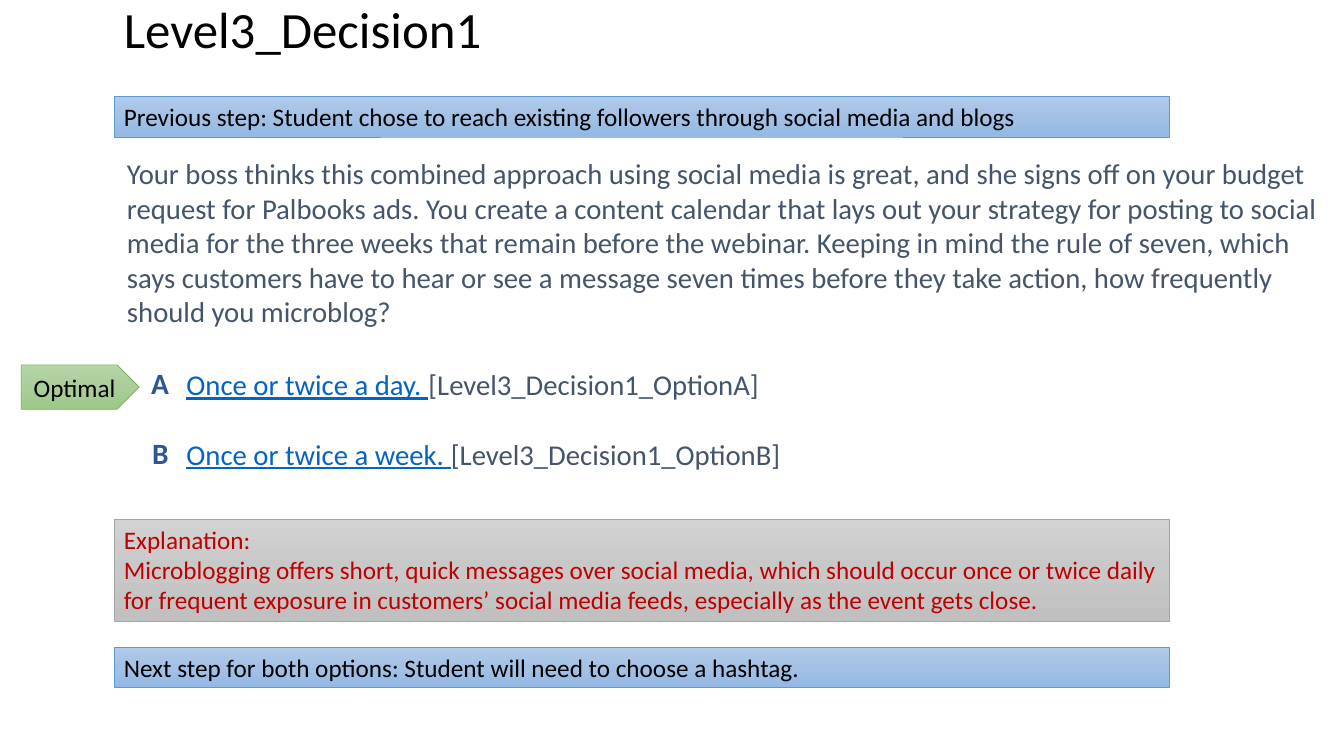
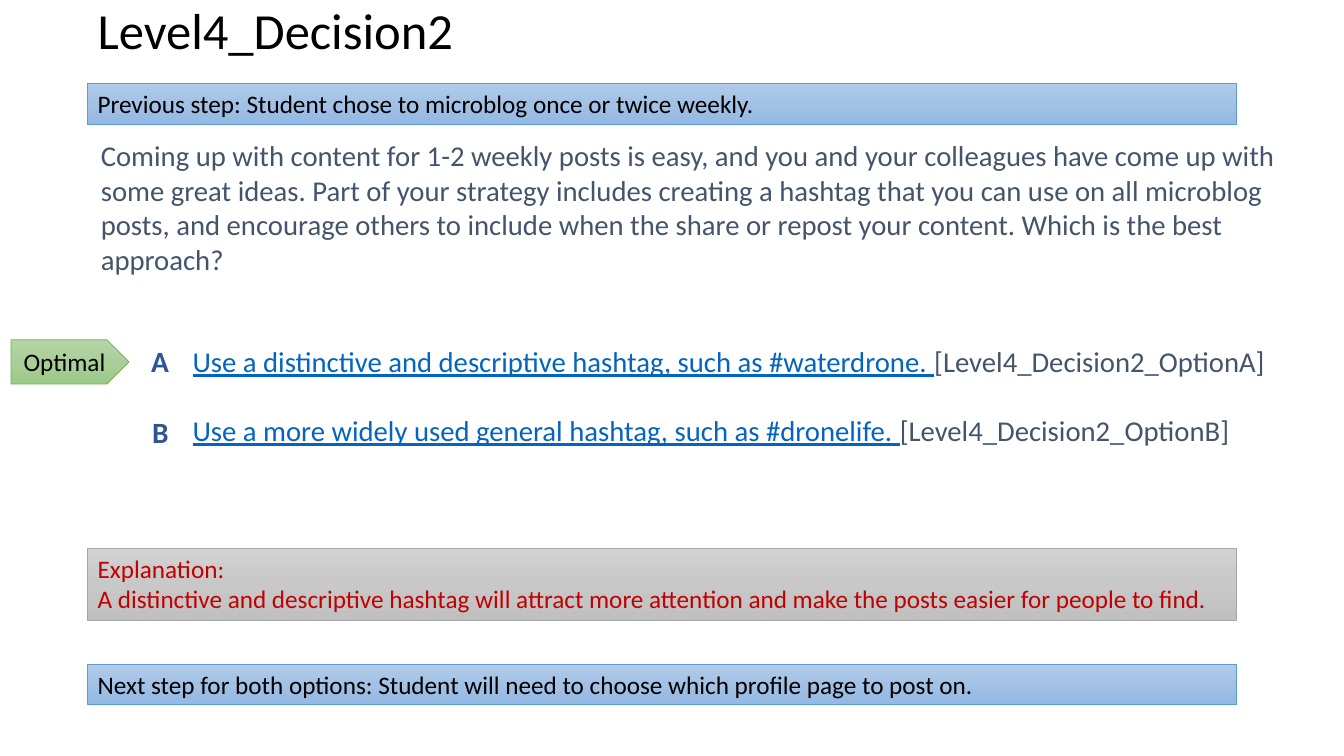
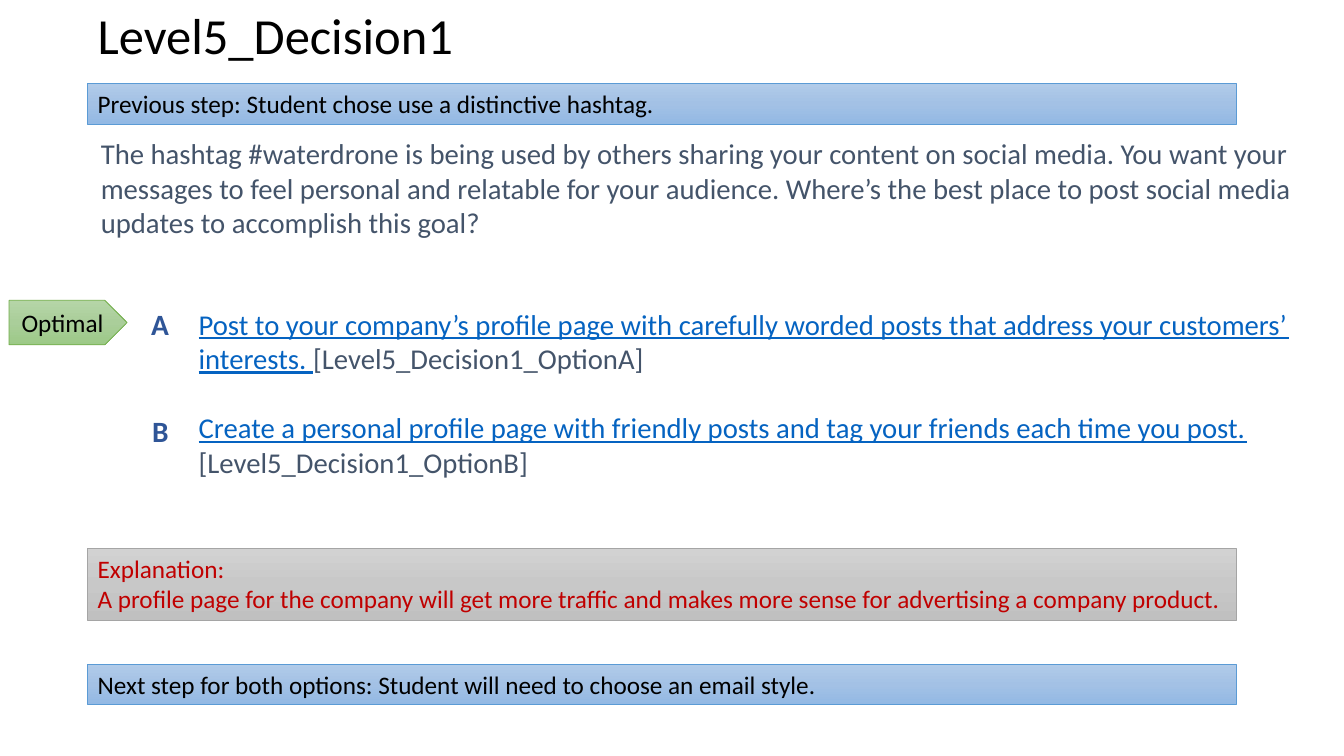
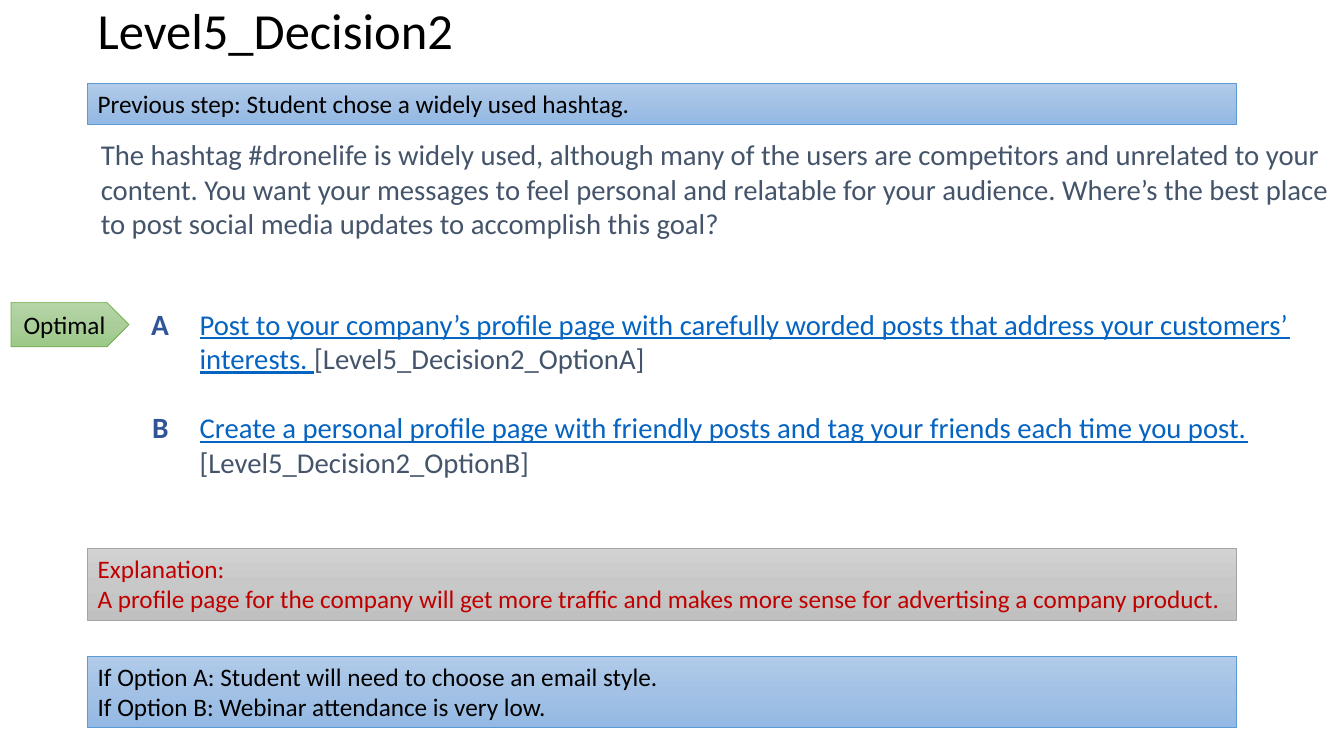
"""Build four decision slides of a branching marketing scenario."""
from copy import deepcopy
from dataclasses import dataclass

from pptx import Presentation
from pptx.dml.color import RGBColor
from pptx.enum.shapes import MSO_SHAPE as Preset
from pptx.enum.text import MSO_ANCHOR as Anchor, MSO_AUTO_SIZE as AutoSize, PP_ALIGN as Align
from pptx.util import Pt

PX = 9144
SLIDE_W, SLIDE_H = 1333, 750
FONT = "Calibri"
COLORS = {
    "black": "000000",
    "body": "44546A",
    "link": "0563C1",
    "letter": "2F5597",
    "alert": "C00000",
    "blue_line": "5B9BD5",
    "gray_line": "A5A5A5",
    "green_line": "70AD47",
}
GRADIENTS = {
    "blue": ("B1CBE9", "A3C1E5", "93B9E4"),
    "gray": ("D2D2D2", "C8C8C8", "C0C0C0"),
    "green": ("B5D5A7", "AACE9A", "9CC987"),
}
WIDE_INSETS = (13, 7)
BAND_INSETS = (10, 5)
BODY_SIZE, LETTER_SIZE, BAND_SIZE = 20.5, 21, 18
OPTION_GAP = 25


@dataclass
class Decision:
    title: str
    previous: str
    scenario: str
    options: tuple
    explanation: str
    following: tuple
    scenario_span: tuple
    options_box: tuple
    letter_tops: tuple
    optimal_at: tuple
    following_top: int = 659
    title_span: tuple = (0, 66)
    title_size: float = 36.1
    title_spacing: float = 0.9
    left: int = 87
    width: int = 1139
    previous_top: int = 83
    explanation_top: int = 544
    explanation_lines: int = 2


DECISIONS = (
    Decision(
        title="Level3_Decision1",
        previous="Previous step: Student chose to reach existing followers through social media and blogs",
        scenario="Your boss thinks this combined approach using social media is great, and she signs off "
                 "on your budget request for Palbooks ads. You create a content calendar that lays out "
                 "your strategy for posting to social media for the three weeks that remain before the "
                 "webinar. Keeping in mind the rule of seven, which says customers have to hear or see a "
                 "message seven times before they take action, how frequently should you microblog?",
        options=("Once or twice a day. ", "Once or twice a week. "),
        explanation="Microblogging offers short, quick messages over social media, which should occur "
                    "once or twice daily for frequent exposure in customers’ social media feeds, "
                    "especially as the event gets close.",
        following=("Next step for both options: Student will need to choose a hashtag.",),
        scenario_span=(148, 265), options_box=(172, 357, 950, 153),
        letter_tops=(355, 425), optimal_at=(21, 362), following_top=642,
        title_span=(8, 55), title_size=36.3, title_spacing=0.7,
        left=113, width=1047, previous_top=96,
        explanation_top=515, explanation_lines=3,
    ),
    Decision(
        title="Level4_Decision2",
        previous="Previous step: Student chose to microblog once or twice weekly.",
        scenario="Coming up with content for 1-2 weekly posts is easy, and you and your colleagues have "
                 "come up with some great ideas. Part of your strategy includes creating a hashtag that "
                 "you can use on all microblog posts, and encourage others to include when the share or "
                 "repost your content. Which is the best approach?",
        options=("Use a distinctive and descriptive hashtag, such as #waterdrone. ",
                 "Use a more widely used general hashtag, such as #dronelife. "),
        explanation="A distinctive and descriptive hashtag will attract more attention and make the "
                    "posts easier for people to find.",
        following=("Next step for both options: Student will need to choose which profile page to post on.",),
        scenario_span=(130, 183), options_box=(178, 334, 1156, 148),
        letter_tops=(333, 404), optimal_at=(11, 337),
    ),
)

PROFILE_OPTIONS = (
    "Post to your company’s profile page with carefully worded posts that address your customers’ interests. ",
    "Create a personal profile page with friendly posts and tag your friends each time you post. ",
)
PROFILE_EXPLANATION = ("A profile page for the company will get more traffic and makes more sense "
                       "for advertising a company product.")

DECISIONS += (
    Decision(
        title="Level5_Decision1",
        previous="Previous step: Student chose use a distinctive hashtag.",
        scenario="The hashtag #waterdrone is being used by others sharing your content on social media. "
                 "You want your messages to feel personal and relatable for your audience. Where’s the "
                 "best place to post social media updates to accomplish this goal?",
        options=PROFILE_OPTIONS, explanation=PROFILE_EXPLANATION,
        following=("Next step for both options: Student will need to choose an email style.",),
        scenario_span=(128, 114), options_box=(184, 297, 1150, 217),
        letter_tops=(297, 403), optimal_at=(9, 298), title_span=(5, 66),
    ),
    Decision(
        title="Level5_Decision2",
        previous="Previous step: Student chose a widely used hashtag.",
        scenario="The hashtag #dronelife is widely used, although many of the users are competitors and "
                 "unrelated to your content. You want your messages to feel personal and relatable for "
                 "your audience. Where’s the best place to post social media updates to accomplish this goal?",
        options=PROFILE_OPTIONS, explanation=PROFILE_EXPLANATION,
        following=("If Option A: Student will need to choose an email style.",
                   "If Option B: Webinar attendance is very low."),
        scenario_span=(129, 114), options_box=(185, 297, 1149, 217),
        letter_tops=(297, 399), optimal_at=(11, 300), following_top=651,
    ),
)


def emu(*lengths):
    return [length * PX for length in lengths]


def add_run(paragraph, text, size, color, bold=False, underline=False):
    run = paragraph.add_run()
    run.text = text
    font = run.font
    font.name, font.size = FONT, Pt(size)
    font.bold, font.underline = bold, underline
    font.color.rgb = RGBColor.from_string(COLORS[color])


def set_frame(frame, insets, anchor=Anchor.TOP):
    frame.word_wrap = True
    frame.vertical_anchor = anchor
    side, end = emu(*insets)
    frame.margin_left = frame.margin_right = side
    frame.margin_top = frame.margin_bottom = end


def add_paragraphs(frame, count, align=Align.LEFT):
    for _ in range(count - 1):
        frame.add_paragraph()
    for paragraph in frame.paragraphs:
        paragraph.alignment = align
    return frame.paragraphs


def add_text(slide, box, text, size, color, bold=False, insets=WIDE_INSETS, anchor=Anchor.TOP):
    frame = slide.shapes.add_textbox(*emu(*box)).text_frame
    set_frame(frame, insets, anchor)
    paragraph = frame.paragraphs[0]
    add_run(paragraph, text, size, color, bold)
    return paragraph


def add_panel(slide, preset, box, hue, lines, color="black", align=Align.LEFT, anchor=Anchor.TOP):
    panel = slide.shapes.add_shape(preset, *emu(*box))
    panel.shadow.inherit = False
    panel.fill.gradient()
    panel.fill.gradient_angle = 270
    stop_list = panel._element.spPr.xpath("./a:gradFill/a:gsLst")[0]
    stop_list.insert(1, deepcopy(stop_list[0]))
    for index, (stop, shade) in enumerate(zip(panel.fill.gradient_stops, GRADIENTS[hue])):
        stop.position = index / 2
        stop.color.rgb = RGBColor.from_string(shade)
    panel.line.color.rgb = RGBColor.from_string(COLORS[f"{hue}_line"])
    panel.line.width = Pt(0.5)
    frame = panel.text_frame
    set_frame(frame, BAND_INSETS, anchor)
    for paragraph, line in zip(add_paragraphs(frame, len(lines), align), lines):
        add_run(paragraph, line, BAND_SIZE, color)
    return panel


def add_band(slide, decision, top, hue, lines, color="black", line_count=None):
    height = 10 + 61 * (line_count or len(lines)) // 2
    box = (decision.left, top, decision.width, height)
    band = add_panel(slide, Preset.RECTANGLE, box, hue, lines, color)
    band.text_frame.auto_size = AutoSize.SHAPE_TO_FIT_TEXT


def add_options(slide, decision):
    frame = slide.shapes.add_textbox(*emu(*decision.options_box)).text_frame
    set_frame(frame, WIDE_INSETS)
    paragraphs = add_paragraphs(frame, len(decision.options))
    for letter, paragraph, answer in zip("AB", paragraphs, decision.options):
        add_run(paragraph, answer, BODY_SIZE, "link", underline=True)
        add_run(paragraph, f"[{decision.title}_Option{letter}]", BODY_SIZE, "body")
    for paragraph in paragraphs[1:]:
        paragraph.space_before = Pt(OPTION_GAP)
    letter_boxes = ((137, 68, 58), (138, 70, 44))
    for letter, top, (left, width, height) in zip("AB", decision.letter_tops, letter_boxes):
        add_text(slide, (left, top, width, height), letter, LETTER_SIZE, "letter", bold=True)


def add_decision(slide, decision):
    top, height = decision.scenario_span
    add_text(slide, (decision.left, top, SLIDE_W - decision.left, height),
             decision.scenario, BODY_SIZE, "body")
    top, height = decision.title_span
    title = add_text(slide, (decision.left, top, decision.width, height), decision.title,
                     decision.title_size, "black", insets=BAND_INSETS, anchor=Anchor.MIDDLE)
    title.line_spacing = decision.title_spacing
    add_band(slide, decision, decision.previous_top, "blue", (decision.previous,))
    add_options(slide, decision)
    add_panel(slide, Preset.PENTAGON, (*decision.optimal_at, 117, 44), "green", ("Optimal",),
              align=Align.CENTER, anchor=Anchor.MIDDLE)
    add_band(slide, decision, decision.explanation_top, "gray",
             ("Explanation:", decision.explanation), "alert", decision.explanation_lines)
    add_band(slide, decision, decision.following_top, "blue", decision.following)


def main():
    deck = Presentation()
    deck.slide_width, deck.slide_height = emu(SLIDE_W, SLIDE_H)
    for decision in DECISIONS:
        add_decision(deck.slides.add_slide(deck.slide_layouts[6]), decision)
    deck.save("out.pptx")


if __name__ == "__main__":
    main()
